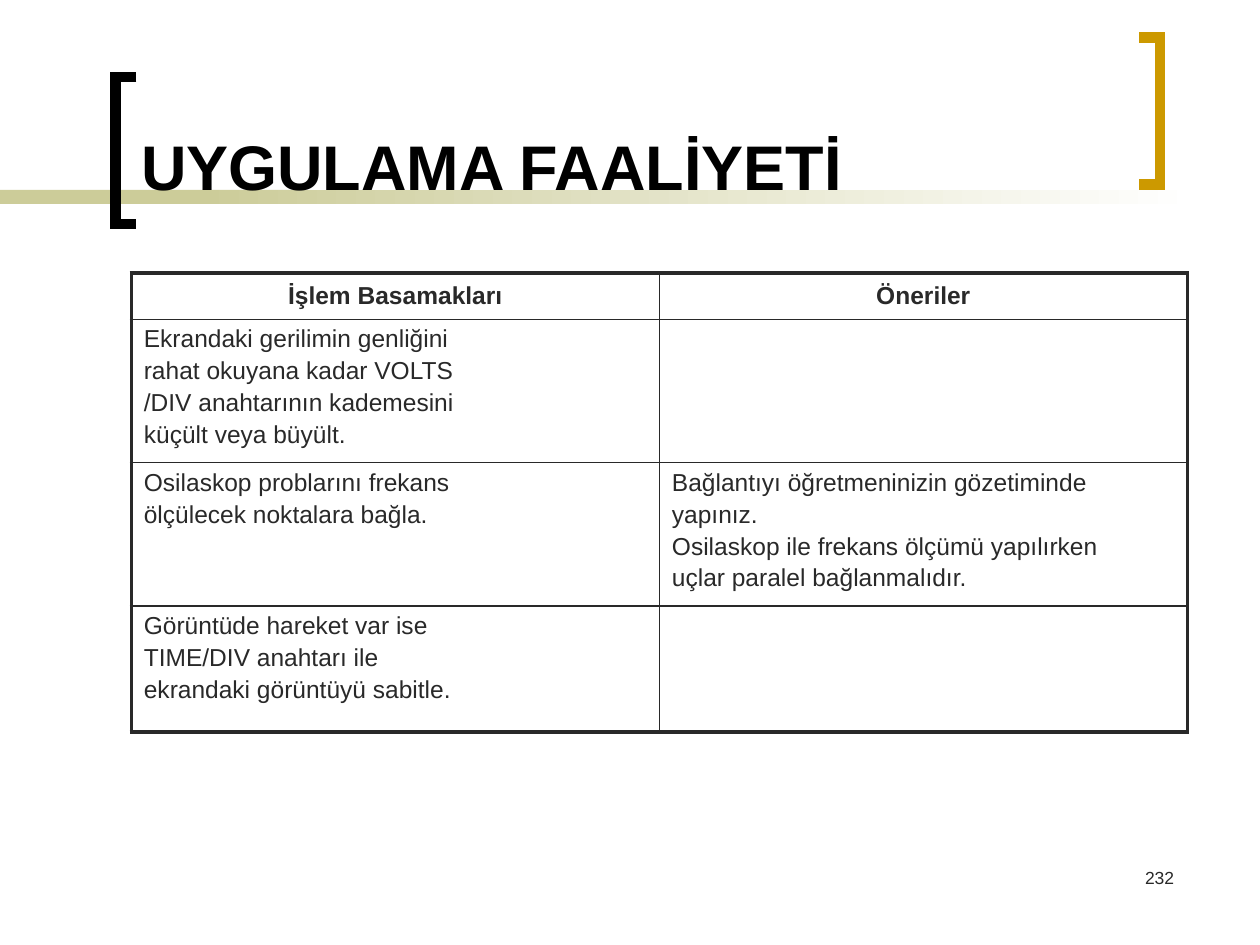
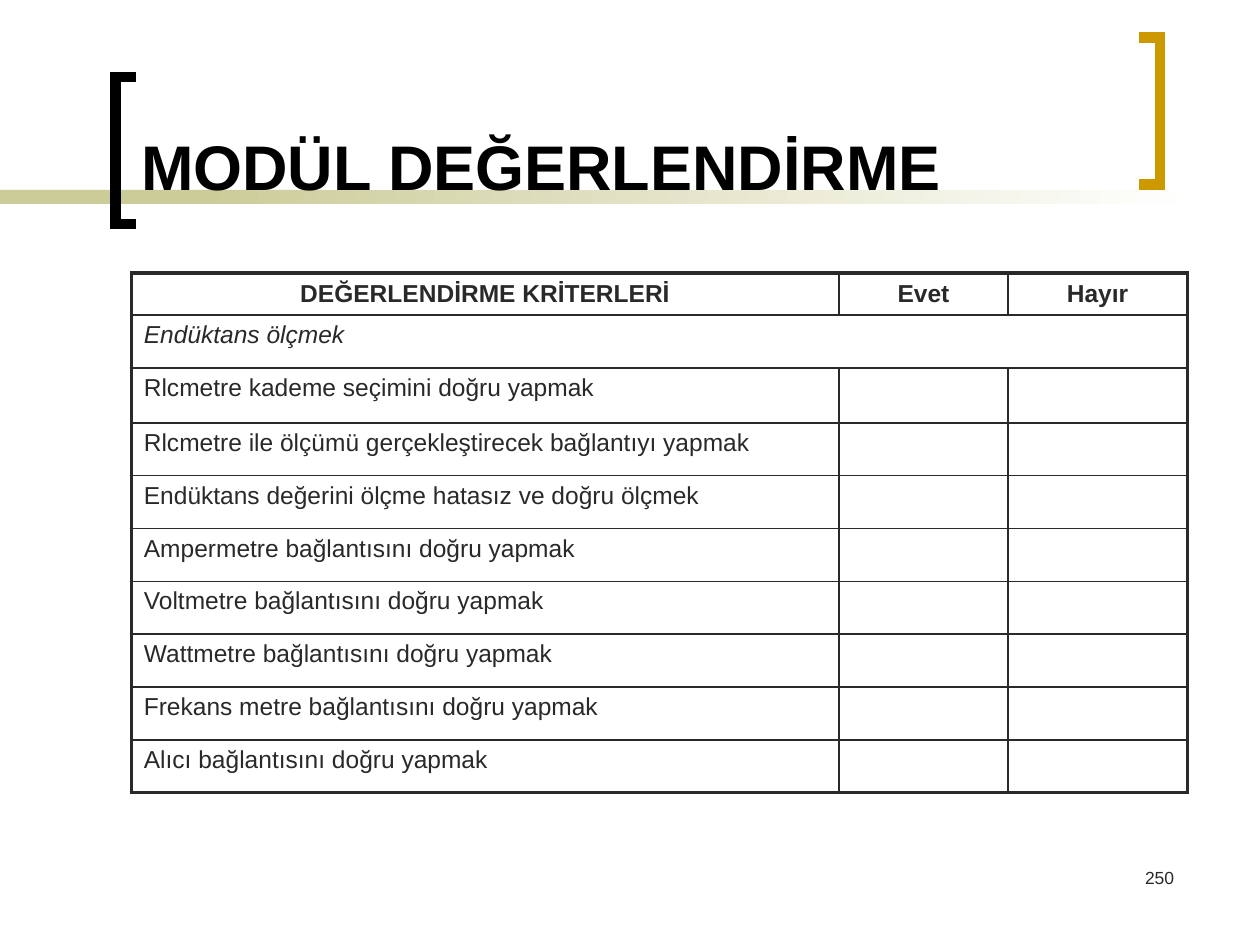
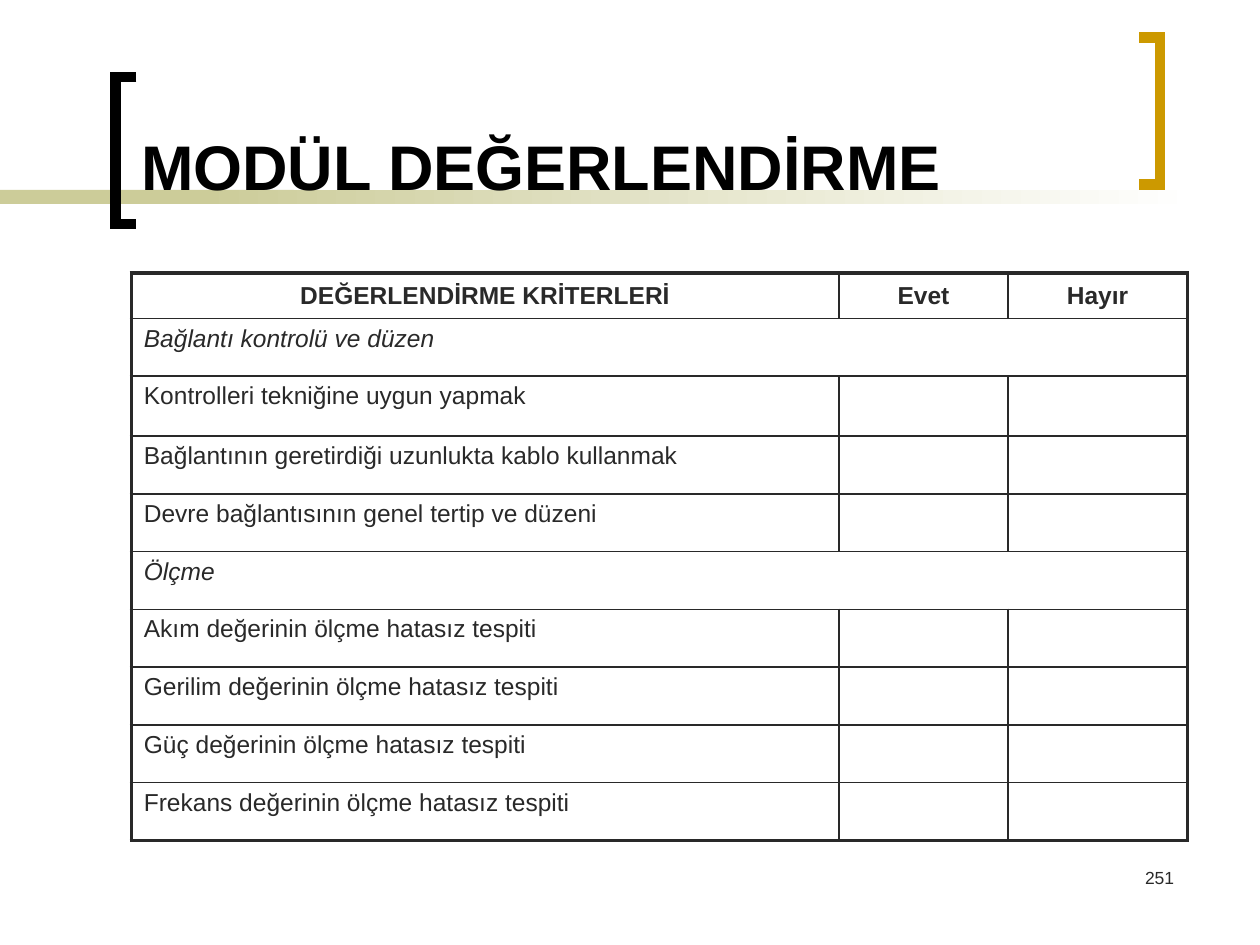
from dataclasses import dataclass

from lxml.etree import SubElement
from pptx import Presentation
from pptx.dml.color import RGBColor
from pptx.enum.shapes import MSO_SHAPE
from pptx.enum.text import MSO_ANCHOR, PP_ALIGN
from pptx.oxml import parse_xml
from pptx.oxml.ns import nsdecls, qn
from pptx.util import Pt


@dataclass(frozen=True)
class Theme:
    font: str = "Arial"
    ink: str = "292929"
    title: str = "000000"
    gold: str = "CC9900"
    band: str = "CCCC99"
    paper: str = "FFFFFF"
    title_size: float = 36
    body_size: float = 14
    number_size: float = 10
    line_gap: float = 2.5
    bracket: float = 6
    frame: float = 2.25
    grid: float = 1


T = Theme()

# Content: a row of one entry is a section heading, a cell is a list of lines
STEP_ROWS = [
    (["Ekrandaki gerilimin genliğini", "rahat okuyana kadar VOLTS",
      "/DIV anahtarının kademesini", "küçült veya büyült."], []),
    (["Osilaskop problarını frekans", "ölçülecek noktalara bağla."],
     ["Bağlantıyı öğretmeninizin gözetiminde", "yapınız.",
      "Osilaskop ile frekans ölçümü yapılırken", "uçlar paralel bağlanmalıdır."]),
    (["Görüntüde hareket var ise", "TIME/DIV anahtarı ile",
      "ekrandaki görüntüyü sabitle."], []),
]

INDUCTANCE = [
    ("Endüktans ölçmek", [
        "Rlcmetre kademe seçimini doğru yapmak",
        "Rlcmetre ile ölçümü gerçekleştirecek bağlantıyı yapmak",
        "Endüktans değerini ölçme hatasız ve doğru ölçmek",
        "Ampermetre bağlantısını doğru yapmak",
        "Voltmetre bağlantısını doğru yapmak",
        "Wattmetre bağlantısını doğru yapmak",
        "Frekans metre bağlantısını doğru yapmak",
        "Alıcı bağlantısını doğru yapmak"]),
]

WIRING = [
    ("Bağlantı kontrolü ve düzen", [
        "Kontrolleri tekniğine uygun yapmak",
        "Bağlantının geretirdiği uzunlukta kablo kullanmak",
        "Devre bağlantısının genel tertip ve düzeni"]),
    ("Ölçme", [
        "Akım değerinin ölçme hatasız tespiti",
        "Gerilim değerinin ölçme hatasız tespiti",
        "Güç değerinin ölçme hatasız tespiti",
        "Frekans değerinin ölçme hatasız tespiti"]),
]


def checklist(number, sections, head_height, row_height):
    """Evaluation slide: section headings with yes/no rows below."""
    rows = []
    for heading, items in sections:
        rows.append(([heading],))
        rows += [([item], [], []) for item in items]
    heights = [head_height] + [row_height] * len(rows)
    heights[2] += 1.25
    return {"title": "MODÜL DEĞERLENDİRME", "number": number,
            "header": ["DEĞERLENDİRME KRİTERLERİ", "Evet", "Hayır"],
            "rows": rows, "widths": [404.5, 96.5, 102.5], "heights": heights}


SLIDES = [
    {"title": "UYGULAMA FAALİYETİ", "number": "232",
     "header": ["İşlem Basamakları", "Öneriler"], "rows": STEP_ROWS,
     "widths": [301.75, 301.75], "heights": [26.5, 78.5, 78.5, 72]},
    checklist("250", INDUCTANCE, 23, 30.2),
    checklist("251", WIRING, 26, 33),
]

# Layout: left, top, width, height
TITLE_BOX = (73.5, 8, 564, 111.5)
NUMBER_BOX = (528, 492, 150, 36)
TABLE_AT = (75, 156)
BAND_SOLID = (0, 108.5, 168, 8)
BAND_FADE = (114, 108.5, 570, 8)
BRACKETS = [  # open end x, spine x, top, bottom, colour
    (78, 66, 44, 128, T.title),
    (651, 663, 21.5, 105.5, T.gold),
]


def rgb(color):
    return RGBColor.from_string(color)


def add_run(p, text, size, color=T.ink, bold=False, italic=False):
    r = p.add_run()
    r.text = text
    f = r.font
    f.name, f.size, f.bold, f.italic = T.font, Pt(size), bold, italic
    f.color.rgb = rgb(color)


def add_text(s, box, text, size, color, bold=False,
             align=PP_ALIGN.LEFT, anchor=MSO_ANCHOR.TOP):
    tf = s.shapes.add_textbox(*map(Pt, box)).text_frame
    tf.word_wrap = True
    tf.vertical_anchor = anchor
    p = tf.paragraphs[0]
    p.alignment = align
    add_run(p, text, size, color, bold)


def add_band(s, box):
    sp = s.shapes.add_shape(MSO_SHAPE.RECTANGLE, *map(Pt, box))
    sp.shadow.inherit = False
    sp.line.fill.background()
    return sp.fill


def add_frame(s):
    """Band and the two square brackets behind every title."""
    fill = add_band(s, BAND_SOLID)
    fill.solid()
    fill.fore_color.rgb = rgb(T.band)
    fill = add_band(s, BAND_FADE)
    fill.gradient()
    fill.gradient_angle = 0
    for stop, color, pos in zip(fill.gradient_stops, (T.band, T.paper), (0, 1)):
        stop.color.rgb = rgb(color)
        stop.position = pos
    for tip, spine, top, bottom, color in BRACKETS:
        fb = s.shapes.build_freeform(Pt(tip), Pt(top))
        corners = [(spine, top), (spine, bottom), (tip, bottom)]
        fb.add_line_segments([(Pt(x), Pt(y)) for x, y in corners], close=False)
        sp = fb.convert_to_shape()
        sp.shadow.inherit = False
        sp.fill.background()
        sp.line.width = Pt(T.bracket)
        sp.line.color.rgb = rgb(color)
        SubElement(sp.line._get_or_add_ln(), qn("a:miter"), lim="800000")


def set_borders(cell, **widths):
    tcPr = cell._tc.get_or_add_tcPr()
    for i, (side, width) in enumerate(widths.items()):
        tcPr.insert(i, parse_xml(
            f'<a:ln{side} {nsdecls("a")} w="{Pt(width)}"><a:solidFill>'
            f'<a:srgbClr val="{T.ink}"/></a:solidFill></a:ln{side}>'))


def fill_cell(cell, lines, header=False, italic=False):
    tf = cell.text_frame
    if header:
        cell.vertical_anchor = MSO_ANCHOR.MIDDLE
    for i, line in enumerate(lines):
        p = tf.add_paragraph() if i else tf.paragraphs[0]
        if i:
            p.space_before = Pt(T.line_gap)
        if header:
            p.alignment = PP_ALIGN.CENTER
        add_run(p, line, T.body_size, bold=header, italic=italic)


def add_grid(s, header, rows, widths, heights):
    n_rows, n_cols = len(heights), len(widths)
    tbl = s.shapes.add_table(n_rows, n_cols, *map(Pt, TABLE_AT),
                             Pt(sum(widths)), Pt(sum(heights))).table
    tbl.first_row = tbl.horz_banding = False
    for col, width in zip(tbl.columns, widths):
        col.width = Pt(width)
    for row, height in zip(tbl.rows, heights):
        row.height = Pt(height)

    # Thick outer frame, thin inner lines
    def weight(on_edge):
        return T.frame if on_edge else T.grid

    for r in range(n_rows):
        for c in range(n_cols):
            cell = tbl.cell(r, c)
            cell.fill.background()
            is_section = r > 0 and len(rows[r - 1]) == 1
            set_borders(cell, L=weight(c == 0),
                        R=weight(c == n_cols - 1 or is_section),
                        T=weight(r == 0), B=weight(r == n_rows - 1))

    # Text, with section headings across all columns
    for c, label in enumerate(header):
        fill_cell(tbl.cell(0, c), [label], header=True)
    for r, row in enumerate(rows, 1):
        is_section = len(row) == 1
        if is_section:
            tbl.cell(r, 0).merge(tbl.cell(r, n_cols - 1))
        for c, lines in enumerate(row):
            fill_cell(tbl.cell(r, c), lines, italic=is_section)


def main():
    prs = Presentation()
    prs.slide_width, prs.slide_height = Pt(720), Pt(540)
    for data in SLIDES:
        s = prs.slides.add_slide(prs.slide_layouts[6])
        add_frame(s)
        add_text(s, NUMBER_BOX, data["number"], T.number_size, T.ink,
                 align=PP_ALIGN.RIGHT)
        add_text(s, TITLE_BOX, data["title"], T.title_size, T.title, bold=True,
                 anchor=MSO_ANCHOR.BOTTOM)
        add_grid(s, data["header"], data["rows"], data["widths"], data["heights"])
    prs.save("out.pptx")


if __name__ == "__main__":
    main()
